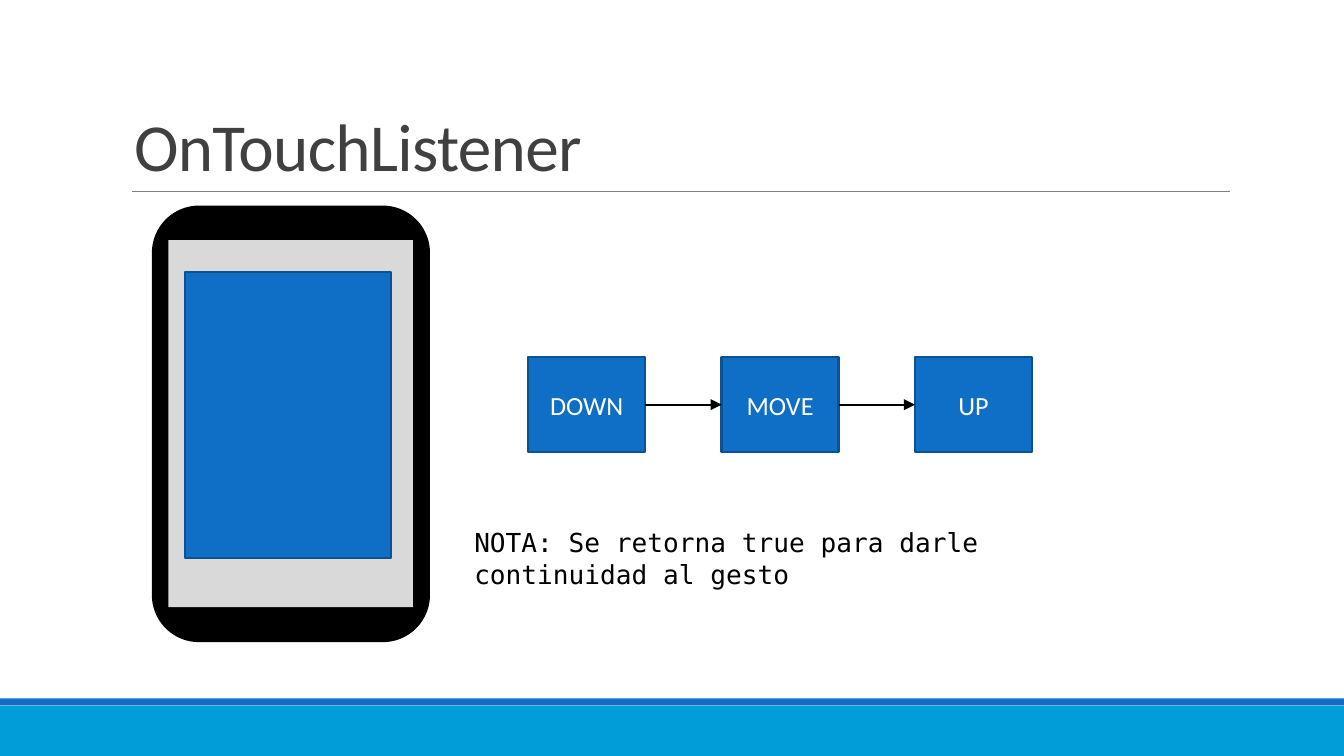
from dataclasses import dataclass
from typing import Optional

from lxml.etree import SubElement as Sub
from pptx import Presentation
from pptx.dml.color import RGBColor as RGB
from pptx.enum.shapes import MSO_CONNECTOR as Conn, MSO_SHAPE as Kind
from pptx.enum.text import MSO_ANCHOR as Anchor, PP_ALIGN as Align
from pptx.oxml.ns import qn
from pptx.util import Pt


@dataclass(frozen=True)
class Theme:
    blue: str = "0F6FC6"
    edge: str = "0B5292"
    cyan: str = "009DD9"
    gray: str = "D9D9D9"
    rule: str = "808080"
    head: str = "404040"
    black: str = "000000"
    white: str = "FFFFFF"
    sans: str = "Calibri"
    mono: str = "DejaVu Sans Mono"
    title: float = 36
    body: float = 14
    line: float = 1.25


@dataclass(frozen=True)
class Box:
    x: float
    y: float
    w: float
    h: float
    fill: str = ""
    edge: Optional[str] = None
    kind: Kind = Kind.RECTANGLE
    text: str = ""


T = Theme()
WIDE, HIGH = 720, 405

BANDS = [
    Box(0, 378, WIDE, 27, T.cyan),
    Box(0, 374.2, WIDE, 3.8, T.blue),
]
PHONE = [
    Box(82, 110.8, 147.7, 232.6, T.black, T.black, Kind.ROUNDED_RECTANGLE),
    Box(90.2, 128.7, 131, 196.6, T.gray),
    Box(99.2, 145.9, 110.3, 153, T.blue, T.edge),
]
SIDE, TALL, STEP = 62.7, 51, 103.6
STEPS = [
    Box(283 + i * STEP, 191.3, SIDE, TALL, T.blue, T.edge, text=name)
    for i, name in enumerate(["DOWN", "MOVE", "UP"])
]


def write(para, text: str, font: str, size: float, color: str):
    run = para.add_run()
    run.text = text
    run.font.name = font
    run.font.size = Pt(size)
    run.font.color.rgb = RGB.from_string(color)
    return run


def draw(slide, box: Box) -> None:
    shape = slide.shapes.add_shape(
        box.kind, Pt(box.x), Pt(box.y), Pt(box.w), Pt(box.h))
    shape.shadow.inherit = False
    shape.fill.solid()
    shape.fill.fore_color.rgb = RGB.from_string(box.fill)
    if box.edge:
        shape.line.color.rgb = RGB.from_string(box.edge)
        shape.line.width = Pt(T.line)
    else:
        shape.line.fill.background()
    if box.text:
        frame = shape.text_frame
        frame.vertical_anchor = Anchor.MIDDLE
        para = frame.paragraphs[0]
        para.alignment = Align.CENTER
        write(para, box.text, T.sans, T.body, T.white)


def label(slide, box: Box, anchor: Anchor):
    """Add an empty wrapped text box and return its first paragraph."""
    frame = slide.shapes.add_textbox(
        Pt(box.x), Pt(box.y), Pt(box.w), Pt(box.h)).text_frame
    frame.word_wrap = True
    frame.vertical_anchor = anchor
    return frame.paragraphs[0]


def link(slide, x1: float, x2: float, y: float, color: str,
         width: float, arrow: bool = False) -> None:
    """Draw a level line, with an arrowhead at x2 if asked."""
    line = slide.shapes.add_connector(
        Conn.STRAIGHT, Pt(x1), Pt(y), Pt(x2), Pt(y))
    line.line.color.rgb = RGB.from_string(color)
    line.line.width = Pt(width)
    if arrow:
        Sub(line.line._get_or_add_ln(), qn("a:tailEnd"), type="triangle")
    Sub(line._element.spPr, qn("a:effectLst"))


def main() -> None:
    deck = Presentation()
    deck.slide_width, deck.slide_height = Pt(WIDE), Pt(HIGH)
    slide = deck.slides.add_slide(deck.slide_layouts[6])

    for band in BANDS:
        draw(slide, band)
    link(slide, 70.7, 659, 102.6, T.rule, 0.5)

    para = label(slide, Box(64.8, 17.2, 594, 85.7), Anchor.BOTTOM)
    para.line_spacing = 0.85
    run = write(para, "OnTouchListener", T.sans, T.title, T.head)
    run.font._element.set("spc", "-40")

    for part in PHONE:
        draw(slide, part)

    para = label(slide, Box(247, 278.6, 360, 41), Anchor.TOP)
    write(para, "NOTA: Se retorna true para darle continuidad al gesto",
          T.mono, T.body, T.black)

    for step in STEPS:
        draw(slide, step)
    for a, b in zip(STEPS, STEPS[1:]):
        link(slide, a.x + a.w, b.x, a.y + a.h / 2, T.black, 1, arrow=True)

    deck.save("out.pptx")


if __name__ == "__main__":
    main()
